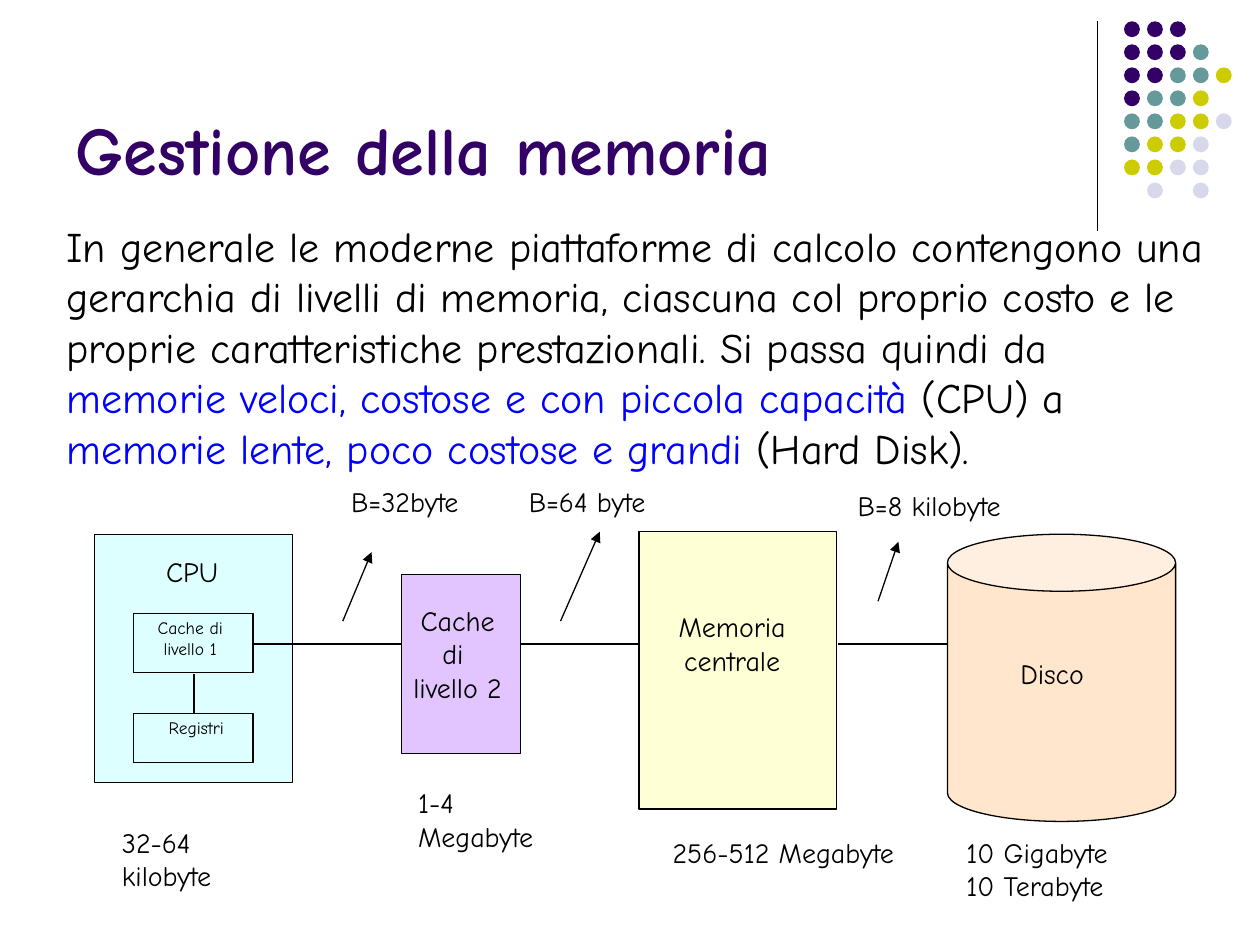
from lxml.etree import SubElement
from pptx import Presentation
from pptx.dml.color import RGBColor
from pptx.enum.shapes import MSO_CONNECTOR, MSO_SHAPE
from pptx.enum.text import MSO_ANCHOR, MSO_AUTO_SIZE, PP_ALIGN
from pptx.oxml.ns import qn
from pptx.util import Cm, Pt

COLORS = {
    "black": "000000", "purple": "330066", "teal": "669999", "olive": "CCCC00",
    "lilac": "D8D8EC", "blue": "0000FF", "cyan": "CCFFFF", "violet": "CC99FF",
    "yellow": "FFFF99", "peach": "FFCC99",
}
LINE_WIDTH = Pt(0.75)


def color(name):
    return RGBColor.from_string(COLORS[name])


def add_text(place, lines, size, align=PP_ALIGN.LEFT, wrap=False, bold=False):
    """Add a text box; each line is a list of (text, color name) spans."""
    box = page.shapes.add_textbox(*map(Cm, place))
    box.text_frame.word_wrap = wrap
    if not wrap:
        box.text_frame.auto_size = MSO_AUTO_SIZE.SHAPE_TO_FIT_TEXT
    for index, spans in enumerate(lines):
        para = box.text_frame.paragraphs[0] if index == 0 else box.text_frame.add_paragraph()
        para.alignment = align
        for text, ink in spans:
            span = para.add_run()
            span.text = text
            span.font.color.rgb = color(ink)
            formats = {"name": "Comic Neue", "size": Pt(size), "bold": bold}
            for attribute, value in formats.items():
                setattr(span.font, attribute, value)
    return box


deck = Presentation()
deck.slide_width, deck.slide_height = Cm(25.4), Cm(19.05)
page = deck.slides.add_slide(deck.slide_layouts[6])

# Dot ornament: one letter per dot, one string per row
dot_colors = {"P": "purple", "T": "teal", "O": "olive", "L": "lilac"}
dot_rows = ["PPP", "PPPT", "PPTTO", "PTTO", "TTOOL", "TOOL", "OOLL", " L L"]
for row, letters in enumerate(dot_rows):
    for column, letter in enumerate(letters):
        if letter == " ":
            continue
        dot = page.shapes.add_shape(
            MSO_SHAPE.OVAL, Cm(22.66 + column * 1.85 / 4), Cm(0.43 + row * 3.25 / 7),
            Cm(0.32), Cm(0.32))
        dot.shadow.inherit = False
        dot.fill.solid()
        dot.fill.fore_color.rgb = color(dot_colors[letter])
        dot.line.fill.background()

title = add_text((1.27, 0.33, 20.96, 3.61), [[("Gestione della memoria", "purple")]],
                 39, wrap=True, bold=True)
title.text_frame.vertical_anchor = MSO_ANCHOR.BOTTOM

add_text((1.09, 4.32, 23.65, 5.33), [[
    ("In generale le moderne piattaforme di calcolo contengono una gerarchia di livelli "
     "di memoria, ciascuna col proprio costo e le proprie caratteristiche prestazionali. "
     "Si passa quindi da ", "black"),
    ("memorie veloci, costose e con piccola capacità", "blue"),
    (" (CPU) a ", "black"),
    ("memorie lente, poco costose e grandi", "blue"),
    (" (Hard Disk).", "black"),
]], 24, wrap=True)

# Memory levels: preset, place, fill, opacity in percent
levels = [
    (MSO_SHAPE.RECTANGLE, (1.91, 10.77, 3.99, 5), "cyan", 63),
    (MSO_SHAPE.RECTANGLE, (8.1, 11.58, 2.39, 3.61), "violet", 56),
    (MSO_SHAPE.RECTANGLE, (12.88, 10.72, 3.99, 5.59), "yellow", 40),
    (MSO_SHAPE.CAN, (19.1, 10.77, 4.6, 5.79), "peach", 49),
    (MSO_SHAPE.RECTANGLE, (2.69, 12.37, 2.41, 1.19), None, None),
    (MSO_SHAPE.RECTANGLE, (2.69, 14.38, 2.41, 0.99), None, None),
]
for preset, place, fill, opacity in levels:
    level = page.shapes.add_shape(preset, *map(Cm, place))
    level.shadow.inherit = False
    level.line.color.rgb = color("black")
    level.line.width = LINE_WIDTH
    if fill is None:
        level.fill.background()
        continue
    level.fill.solid()
    level.fill.fore_color.rgb = color(fill)
    fill_color = level.element.spPr.find(qn("a:solidFill"))[0]
    SubElement(fill_color, qn("a:alpha"), val=str(opacity * 1000))

# Lines: start x, start y, end x, end y, arrowhead at the end
bus_y = 12.98
lines = [
    (22.12, 0.43, 22.12, 4.65, False),
    (3.91, 13.59, 3.91, 14.38, False),
    (5.11, bus_y, 8.1, bus_y, False),
    (10.49, bus_y, 12.9, bus_y, False),
    (16.89, bus_y, 19.1, bus_y, False),
    (6.91, 12.52, 7.49, 11.13, True),
    (11.3, 12.52, 12.09, 10.72, True),
    (17.7, 12.12, 18.11, 10.92, True),
]
for *ends, has_arrow in lines:
    line = page.shapes.add_connector(MSO_CONNECTOR.STRAIGHT, *map(Cm, ends))
    line.line.color.rgb = color("black")
    line.line.width = LINE_WIDTH
    if has_arrow:
        SubElement(line._element.spPr.find(qn("a:ln")), qn("a:tailEnd"), type="triangle")
    SubElement(line._element.spPr, qn("a:effectLst"))

# Labels: place, lines, size, alignment
labels = [
    ((3.1, 11.05, 1.55, 0.94), ["CPU"], 16, PP_ALIGN.LEFT),
    ((2.87, 12.32, 1.93, 1.12), ["Cache di ", "livello 1"], 10, PP_ALIGN.CENTER),
    ((3.15, 14.33, 1.63, 0.69), ["Registri"], 10, PP_ALIGN.LEFT),
    ((8.08, 12.04, 2.29, 2.29), ["Cache", "di ", "livello 2"], 16, PP_ALIGN.CENTER),
    ((13.34, 12.17, 2.84, 1.63), ["Memoria ", "centrale"], 16, PP_ALIGN.CENTER),
    ((20.32, 13.11, 1.8, 0.94), ["Disco"], 16, PP_ALIGN.LEFT),
    ((2.21, 16.51, 2.31, 1.63), ["32-64", "kilobyte"], 16, PP_ALIGN.LEFT),
    ((8.18, 15.72, 2.84, 1.63), ["1-4", "Megabyte"], 16, PP_ALIGN.LEFT),
    ((13.31, 16.71, 4.98, 0.94), ["256-512 Megabyte"], 16, PP_ALIGN.LEFT),
    ((19.23, 16.71, 3.38, 1.63), ["10 Gigabyte", "10 Terabyte"], 16, PP_ALIGN.LEFT),
    ((6.83, 9.65, 2.69, 0.94), ["B=32byte"], 16, PP_ALIGN.LEFT),
    ((10.41, 9.65, 2.87, 0.94), ["B=64 byte"], 16, PP_ALIGN.LEFT),
    ((17.04, 9.73, 3.4, 0.94), ["B=8 kilobyte"], 16, PP_ALIGN.LEFT),
]
for place, texts, size, align in labels:
    add_text(place, [[(text, "black")] for text in texts], size, align)

deck.save("out.pptx")
